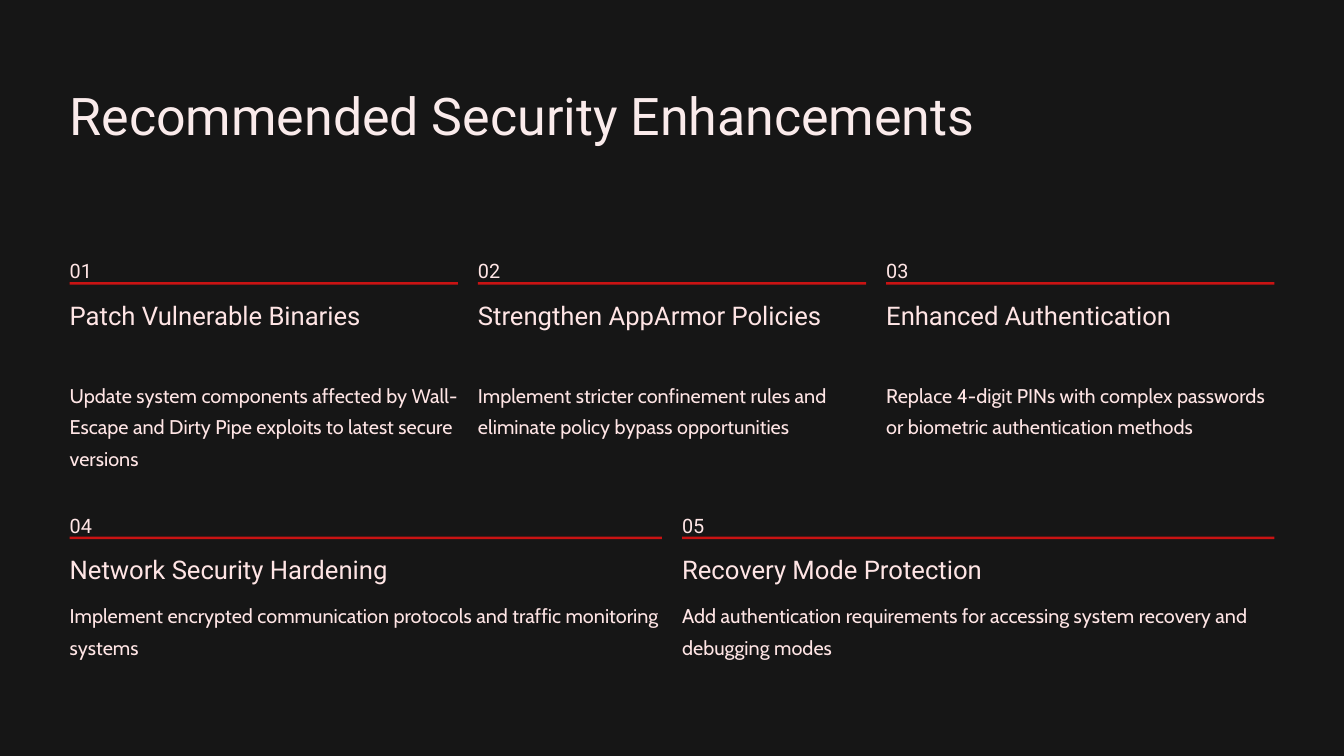
from lxml import etree
from pptx import Presentation
from pptx.dml.color import RGBColor
from pptx.enum.shapes import MSO_SHAPE
from pptx.oxml.ns import qn
from pptx.util import Inches, Pt

COLORS = {"backdrop": "0A0A0A", "title": "FAEBEB", "text": "FFE5E5", "rule": "C91313"}
FORMATS = {
    "title": {"name": "Roboto", "size": Pt(44.5)},
    "number": {"name": "Roboto", "size": Pt(17)},
    "heading": {"name": "Roboto", "size": Pt(22)},
    "body": {"name": "Cabin", "size": Pt(17)},
}
LINE_SPACING = {"title": 56, "number": 27, "heading": 28, "body": 27}
MARGIN, CONTENT_WIDTH, GAP = 0.83, 14.34, 0.24

ROWS = [
    {"top": 2.99, "heading_top": 3.55, "heading_height": 0.78, "body_top": 4.47, "body_height": 1.14, "items": [
        ("Patch Vulnerable Binaries",
         "Update system components affected by Wall-Escape and Dirty Pipe exploits to latest secure versions"),
        ("Strengthen AppArmor Policies",
         "Implement stricter confinement rules and eliminate policy bypass opportunities"),
        ("Enhanced Authentication",
         "Replace 4-digit PINs with complex passwords or biometric authentication methods"),
    ]},
    {"top": 6.02, "heading_top": 6.57, "heading_height": 0.39, "body_top": 7.1, "body_height": 0.76, "items": [
        ("Network Security Hardening",
         "Implement encrypted communication protocols and traffic monitoring systems"),
        ("Recovery Mode Protection",
         "Add authentication requirements for accessing system recovery and debugging modes"),
    ]},
]

deck = Presentation()
deck.slide_width, deck.slide_height = Inches(16), Inches(9)
page = deck.slides.add_slide(deck.slide_layouts[6])


def add_bar(color, left, top, width, height):
    bar = page.shapes.add_shape(
        MSO_SHAPE.RECTANGLE, Inches(left), Inches(top), Inches(width), Inches(height))
    bar.shadow.inherit = False
    bar.fill.solid()
    bar.fill.fore_color.rgb = RGBColor.from_string(COLORS[color])
    bar.line.fill.background()
    return bar


def add_text(text, style, left, top, width, height, color="text"):
    box = page.shapes.add_textbox(Inches(left), Inches(top), Inches(width), Inches(height))
    frame = box.text_frame
    frame.word_wrap = True
    for side in ("left", "top", "right", "bottom"):
        setattr(frame, f"margin_{side}", 0)
    para = frame.paragraphs[0]
    para.line_spacing = Pt(LINE_SPACING[style])
    span = para.add_run()
    span.text = text
    for attribute, value in FORMATS[style].items():
        setattr(span.font, attribute, value)
    span.font.color.rgb = RGBColor.from_string(COLORS[color])


backdrop = add_bar("backdrop", 0, 0, 16, 9)
backdrop_color = next(backdrop.element.spPr.iter(qn("a:srgbClr")))
etree.SubElement(backdrop_color, qn("a:alpha")).set("val", "95000")

add_text("Recommended Security Enhancements", "title", MARGIN, 0.96, CONTENT_WIDTH, 1.56, "title")

number = 0
for row in ROWS:
    count, top = len(row["items"]), row["top"]
    width = (CONTENT_WIDTH - GAP * (count - 1)) / count
    for column, (heading, body) in enumerate(row["items"]):
        number += 1
        left = MARGIN + column * (width + GAP)
        add_text(f"{number:02d}", "number", left, top, 0.3, 0.3)
        add_bar("rule", left, top + 0.37, width, 0.03)
        add_text(heading, "heading", left, row["heading_top"], width, row["heading_height"])
        add_text(body, "body", left, row["body_top"], width, row["body_height"])

deck.save("out.pptx")
